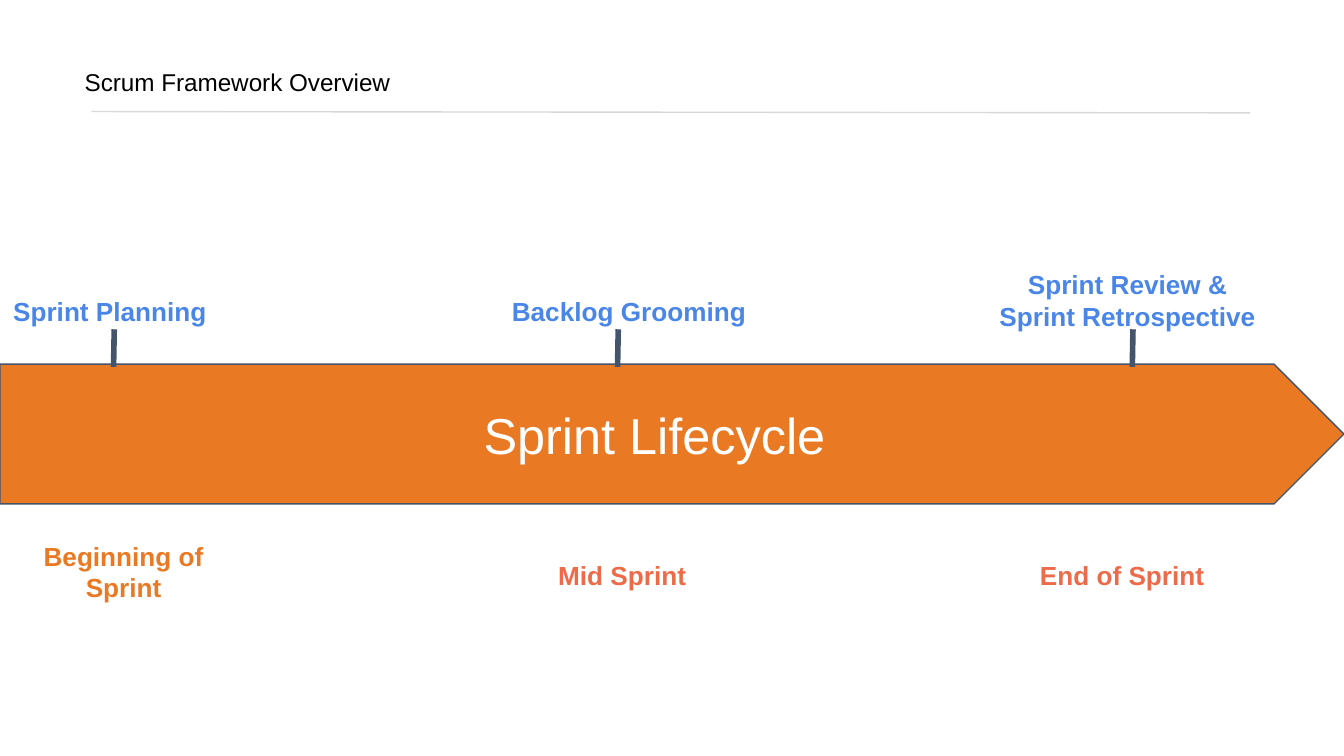
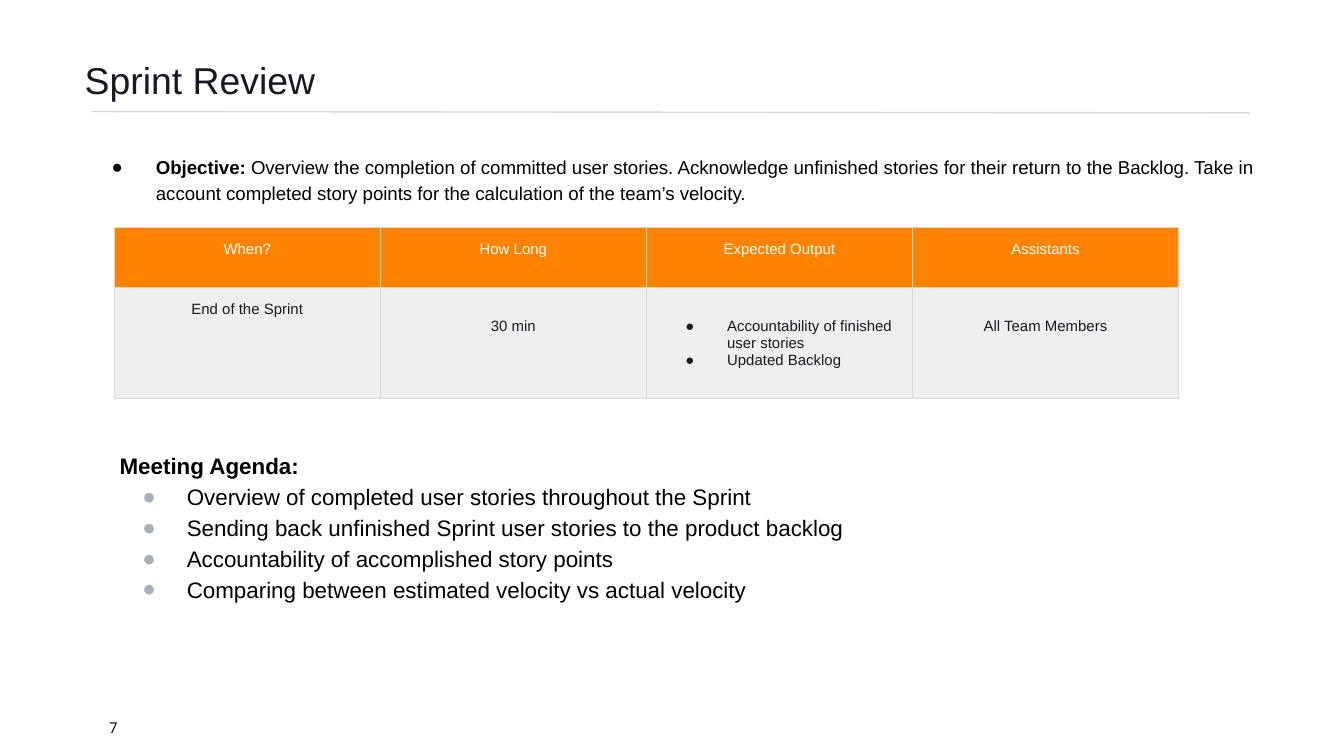
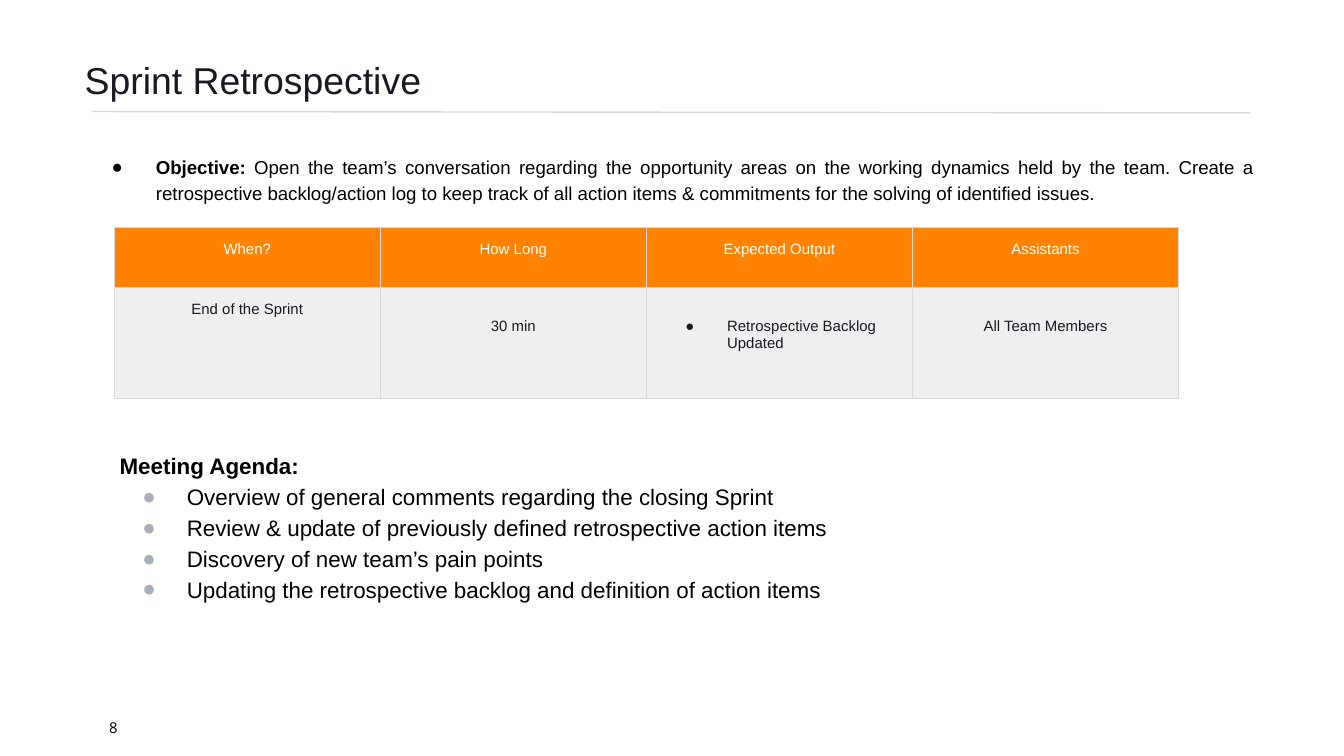
from lxml.etree import SubElement
from pptx import Presentation
from pptx.dml.color import RGBColor
from pptx.enum.shapes import MSO_CONNECTOR as Connector, MSO_SHAPE as Preset
from pptx.enum.text import MSO_ANCHOR as Anchor, MSO_AUTO_SIZE as AutoSize, PP_ALIGN as Align
from pptx.oxml import parse_xml
from pptx.oxml.ns import nsdecls, qn
from pptx.util import Inches, Pt

# The slide is a grid of square cells, 100 columns by 56.25 rows
CELL = 0.1
COLUMNS, ROWS = 100, 56.25

COLORS = {
    "black": "000000", "white": "FFFFFF", "ink": "171923",
    "rule": "D8D8D8", "border": "D9D9D9", "slate": "44546A",
    "orange": "EA7924", "header": "FF8200", "cell": "EFEFEF",
    "event": "4A86E8", "phase": "ED6B49", "bullet": "A8AFB9",
}
WIDE_INSET = (1, 1)
BODY_INSET = (0.9, 0.45)


def grid(cells):
    return Inches(cells * CELL)


def color(name):
    return RGBColor.from_string(COLORS[name])


def write(frame, text, lead="", size=14, ink="black", bold=False, font="Arial",
          align=Align.LEFT, spacing=None, bullet=None, hanging=3.3):
    """Add one paragraph; lead is a bold opening, bullet a colour name."""
    first = frame.paragraphs[0]
    paragraph = frame.add_paragraph() if first.runs else first
    paragraph.alignment = align
    if spacing:
        paragraph.line_spacing = spacing
    if bullet:
        properties = paragraph._p.get_or_add_pPr()
        properties.set("marL", str(grid(5)))
        properties.set("indent", str(-grid(hanging)))
        fill = SubElement(properties, qn("a:buClr"))
        SubElement(fill, qn("a:srgbClr"), val=COLORS[bullet])
        SubElement(properties, qn("a:buFont"), typeface="Arial")
        SubElement(properties, qn("a:buChar"), char="●")
    for words, heavy in ((lead, True), (text, bold)):
        if words:
            run = paragraph.add_run()
            run.text = words
            run.font.name, run.font.size = font, Pt(size)
            run.font.bold = heavy
            run.font.color.rgb = color(ink)


class Deck:
    def __init__(self):
        self.presentation = Presentation()
        self.presentation.slide_width = grid(COLUMNS)
        self.presentation.slide_height = grid(ROWS)
        self.slide = None

    def new_slide(self, title, **style):
        """Start a slide with the shared title and rule."""
        self.slide = self.presentation.slides.add_slide(self.presentation.slide_layouts[6])
        self.line((6.8, 8.3), (93, 8.4), "rule", 0.75)
        inset = style.pop("inset", BODY_INSET)
        frame = self.text_box(5.4, 2.8, 88.7, 5.3, inset, anchor=Anchor.BOTTOM)
        write(frame, title, **style)

    def line(self, start, end, ink, width):
        connector = self.slide.shapes.add_connector(
            Connector.STRAIGHT, *map(grid, (*start, *end)))
        connector.line.color.rgb = color(ink)
        connector.line.width = Pt(width)
        SubElement(connector._element.spPr, qn("a:effectLst"))

    def set_frame(self, frame, inset, anchor):
        frame.word_wrap = True
        frame.vertical_anchor = anchor
        frame.margin_left = frame.margin_right = grid(inset[0])
        frame.margin_top = frame.margin_bottom = grid(inset[1])
        return frame

    def text_box(self, left, top, width, height, inset=BODY_INSET,
                 anchor=Anchor.TOP, grow=False):
        shape = self.slide.shapes.add_textbox(*map(grid, (left, top, width, height)))
        frame = self.set_frame(shape.text_frame, inset, anchor)
        frame.auto_size = AutoSize.SHAPE_TO_FIT_TEXT if grow else AutoSize.NONE
        return frame

    def label(self, text, left, top, width, height, ink, align=Align.CENTER):
        frame = self.text_box(left, top, width, height, WIDE_INSET, grow=True)
        write(frame, text, ink=ink, bold=True, align=align)

    def arrow_band(self, text, top, height):
        shape = self.slide.shapes.add_shape(
            Preset.PENTAGON, 0, grid(top), grid(COLUMNS), grid(height))
        shape.shadow.inherit = False
        shape.fill.solid()
        shape.fill.fore_color.rgb = color("orange")
        shape.line.color.rgb = color("slate")
        shape.line.width = Pt(0.75)
        frame = self.set_frame(shape.text_frame, WIDE_INSET, Anchor.MIDDLE)
        write(frame, text, size=27, ink="white", align=Align.CENTER)

    def style_cell(self, cell, fill, top_inset):
        cell.margin_left = cell.margin_right = cell.margin_bottom = grid(1)
        cell.margin_top = grid(top_inset)
        cell.fill.solid()
        cell.fill.fore_color.rgb = color(fill)
        for index, side in enumerate("LRTB"):
            cell._tc.get_or_add_tcPr().insert(index, parse_xml(
                f'<a:ln{side} {nsdecls("a")} w="{Pt(0.75)}"><a:solidFill>'
                f'<a:srgbClr val="{COLORS["border"]}"/></a:solidFill></a:ln{side}>'))

    def table(self, headings, values, left, top, column_width, row_heights):
        """A list among the values becomes a bulleted cell."""
        table = self.slide.shapes.add_table(
            2, len(headings), grid(left), grid(top),
            grid(column_width * len(headings)), grid(sum(row_heights))).table
        table.first_row = table.horz_banding = False
        for row, height in zip(table.rows, row_heights):
            row.height = grid(height)
        for index, (heading, value) in enumerate(zip(headings, values)):
            table.columns[index].width = grid(column_width)
            head, body = table.cell(0, index), table.cell(1, index)
            self.style_cell(head, "header", 1)
            write(head.text_frame, heading, size=8, ink="white", align=Align.CENTER)
            # Every value after the first sits one line lower
            self.style_cell(body, "cell", 2.28 if index else 1)
            if isinstance(value, list):
                for item in value:
                    write(body.text_frame, item, size=8, ink="ink",
                          bullet="ink", hanging=3.1)
            else:
                write(body.text_frame, value, size=8, ink="ink", align=Align.CENTER)

    def meeting(self, title, number, objective, outputs, agenda):
        """A whole slide about one Scrum meeting."""
        self.new_slide(title, size=20, ink="ink", spacing=0.9)
        write(self.text_box(6.3, 53, 4.3, 1.9), number, size=8,
              font="Open Sans", align=Align.CENTER)
        body = {"align": Align.JUSTIFY, "spacing": 1.15}
        write(self.text_box(5.7, 10.9, 88.4, 2.7), objective, lead="Objective: ",
              size=10, bullet="black", **body)
        self.table(("When?", "How Long", "Expected Output", "Assistants"),
                   ("End of the Sprint", "30 min", outputs, "All Team Members"),
                   8.5, 16.9, 19.8, (4.5, 8.25))
        frame = self.text_box(8, 32.9, 88.4, 2.7)
        write(frame, "Meeting Agenda:", size=12, bold=True, **body)
        for item in agenda:
            write(frame, item, size=12, bullet="bullet", **body)


def main():
    deck = Deck()

    # Sprint lifecycle
    deck.new_slide("Scrum Framework Overview", size=13, inset=(0.9, 0.9))
    deck.arrow_band("Sprint Lifecycle", 27.1, 10.4)
    deck.label("Sprint Planning", 0, 21, 17, 4.4, "event", Align.LEFT)
    deck.label("Backlog Grooming", 35.7, 21, 22.2, 4.4, "event")
    deck.label("Sprint Review & Sprint Retrospective", 72.8, 19, 22.2, 6.7, "event")
    deck.label("Beginning of Sprint", 0.7, 39.2, 17, 6.7, "orange")
    deck.label("Mid Sprint", 37.8, 40.6, 17, 4.4, "phase")
    deck.label("End of Sprint", 75, 40.6, 17, 4.4, "phase")
    for tick in (8.5, 46, 84.3):
        deck.line((tick, 24.5), (tick - 0.05, 27.3), "slate", 3)

    # Meetings
    deck.meeting(
        "Sprint Review", "7",
        "Overview the completion of committed user stories. Acknowledge unfinished "
        "stories for their return to the Backlog. Take in account completed story "
        "points for the calculation of the team’s velocity.",
        ["Accountability of finished user stories", "Updated Backlog"],
        ["Overview of completed user stories throughout the Sprint",
         "Sending back unfinished Sprint user stories to the product backlog",
         "Accountability of accomplished story points",
         "Comparing between estimated velocity vs actual velocity"])
    deck.meeting(
        "Sprint Retrospective", "8",
        "Open the team’s conversation regarding the opportunity areas on the working "
        "dynamics held by the team. Create a retrospective backlog/action log to keep "
        "track of all action items & commitments for the solving of identified issues.",
        ["Retrospective Backlog Updated"],
        ["Overview of general comments regarding the closing Sprint",
         "Review & update of previously defined retrospective action items",
         "Discovery of new team’s pain points",
         "Updating the retrospective backlog and definition of action items"])

    deck.presentation.save("out.pptx")


if __name__ == "__main__":
    main()
